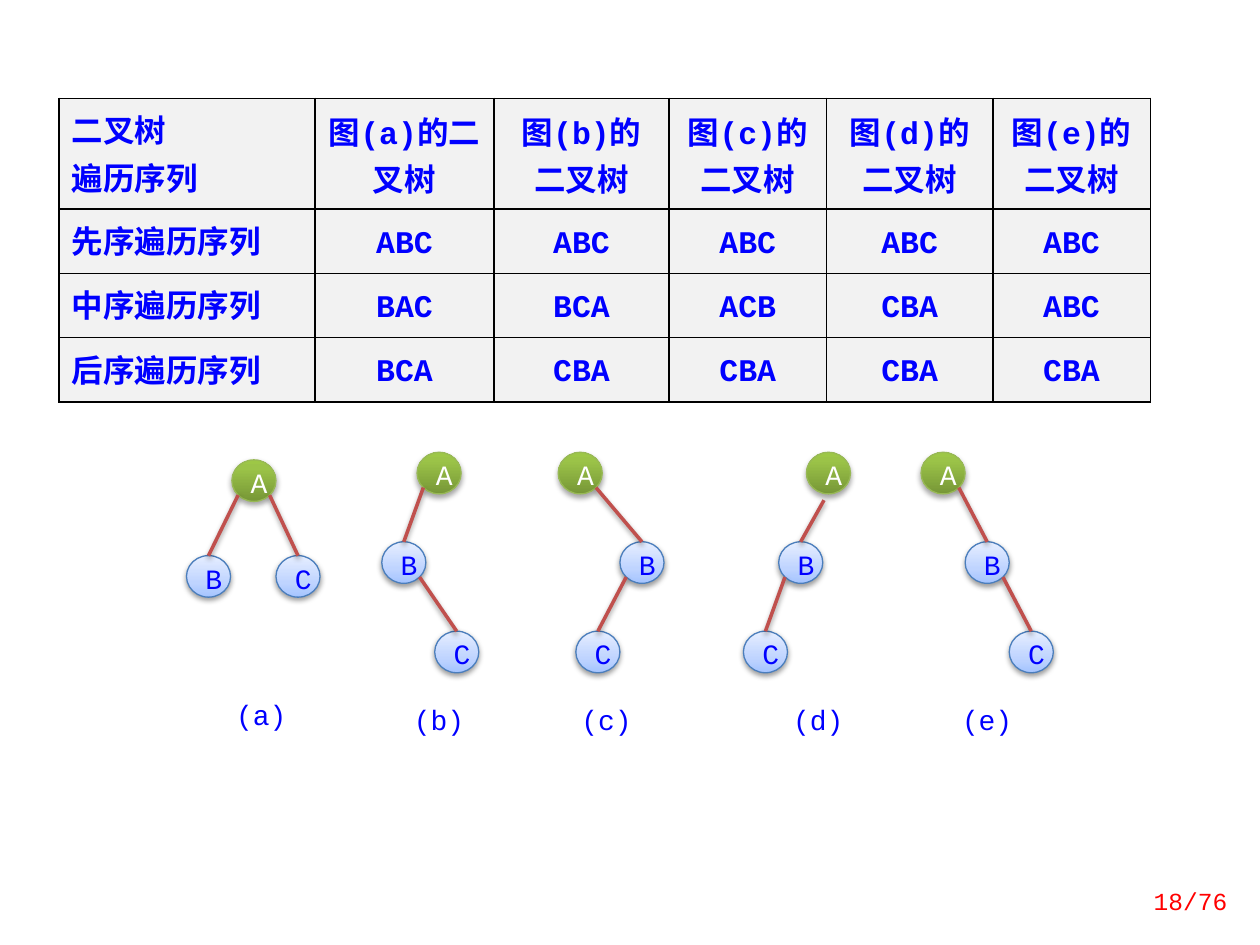
from dataclasses import dataclass
from typing import Optional

from lxml.etree import SubElement
from pptx import Presentation
from pptx.dml.color import RGBColor
from pptx.enum.shapes import MSO_CONNECTOR, MSO_SHAPE
from pptx.enum.text import MSO_ANCHOR, PP_ALIGN
from pptx.oxml.ns import qn
from pptx.util import Inches, Pt

BLUE = "0000FF"
WIDE, HIGH = 0.35, 0.33


@dataclass
class Look:
    """Colours and shadow of a kind of node."""
    stops: list
    edge: str
    ink: str
    alpha: int
    drop: float


@dataclass
class Tree:
    """A three-node binary tree with its caption."""
    name: str
    left: list
    label: float
    tops: tuple = (3.59, 4.3, 5.01)
    links: tuple = ((0, 1), (1, 2))
    base: float = 5.5
    start: Optional[tuple] = None


ROOT = Look([(0, "779737"), (80, "9BC348"), (100, "9DC746")], "98B955", "FFFFFF", 35, 1.8)
CHILD = Look([(0, "A4C4FF"), (35, "BFD4FF"), (100, "E6EEFF")], "4B7EBC", BLUE, 38, 1.6)
TREES = [
    Tree("a", [1.84, 1.48, 2.19], 1.76, (3.65, 4.41, 4.41), ((0, 1), (0, 2)), 5.46),
    Tree("b", [3.31, 3.03, 3.45], 3.17),
    Tree("c", [4.43, 4.92, 4.57], 4.5),
    Tree("d", [6.4, 6.18, 5.9], 6.18, start=(6.54, 3.97)),
    Tree("e", [7.31, 7.66, 8.01], 7.52),
]
COLS = [2.03, 1.42, 1.39, 1.25, 1.32, 1.25]
ROWS = [0.88, 0.51, 0.51, 0.51]
CELLS = [
    ["二叉树\n遍历序列"] + [f"图({tree.name})的二叉树" for tree in TREES],
    ["先序遍历序列", "ABC", "ABC", "ABC", "ABC", "ABC"],
    ["中序遍历序列", "BAC", "BCA", "ACB", "CBA", "ABC"],
    ["后序遍历序列", "BCA", "CBA", "CBA", "CBA", "CBA"],
]


def color(code: str) -> RGBColor:
    """Turn a hex string into a colour."""
    return RGBColor.from_string(code)


def write(frame, text: str, size: float, ink: str, align, space=None, bold=False) -> None:
    """Fill a text frame and format its runs."""
    frame.text = text
    for para in frame.paragraphs:
        para.alignment = align
        if space:
            para.line_spacing = Pt(space)
        for run in para.runs:
            font = run.font
            font.name, font.size, font.bold = "Courier New", Pt(size), bold
            font.color.rgb = color(ink)


def add_color(parent, code: str):
    """Append an RGB colour element."""
    return SubElement(parent, qn("a:srgbClr"), val=code)


def add_shadow(props, alpha: int, drop: float) -> None:
    """Give shape properties a soft shadow straight below."""
    effects = SubElement(props, qn("a:effectLst"))
    outer = SubElement(effects, qn("a:outerShdw"), blurRad=str(Pt(3.1)),
                       dist=str(Pt(drop)), dir="5400000", rotWithShape="0")
    tint = add_color(outer, "000000")
    SubElement(tint, qn("a:alpha"), val=str(alpha * 1000))


def add_node(slide, text: str, left: float, top: float, look: Look):
    """Draw one lettered tree node."""
    node = slide.shapes.add_shape(MSO_SHAPE.OVAL, Inches(left), Inches(top),
                                  Inches(WIDE), Inches(HIGH))
    node.fill.gradient()
    node.fill.gradient_angle = 90
    props = node.element.spPr
    stops = props.find(qn("a:gradFill")).find(qn("a:gsLst"))
    stops.clear()
    for pos, code in look.stops:
        add_color(SubElement(stops, qn("a:gs"), pos=str(pos * 1000)), code)
    node.line.color.rgb = color(look.edge)
    node.line.width = Pt(0.75)
    add_shadow(props, look.alpha, look.drop)
    write(node.text_frame, text, 16, look.ink, PP_ALIGN.CENTER, 21)
    return node


def add_link(slide, start: tuple, child) -> None:
    """Draw a branch from a point to the top of a child node."""
    x, y = map(Inches, start)
    link = slide.shapes.add_connector(MSO_CONNECTOR.STRAIGHT, x, y, x, y)
    link.end_connect(child, 0)
    link.line.color.rgb = color("C0504D")
    link.line.width = Pt(2)
    add_shadow(link._element.spPr, 38, 1.6)


def add_label(slide, text: str, box: tuple, size: float, ink: str, align, space=None):
    """Add a wrapped text box."""
    label = slide.shapes.add_textbox(*map(Inches, box))
    label.text_frame.word_wrap = True
    write(label.text_frame, text, size, ink, align, space)
    return label


def add_tree(slide, tree: Tree) -> None:
    """Draw a tree with its branches and caption."""
    spots = list(zip(tree.left, tree.tops))
    nodes = [add_node(slide, text, *spot, look)
             for text, spot, look in zip("ABC", spots, (ROOT, CHILD, CHILD))]
    for up, down in tree.links:
        left, top = spots[up]
        side = 0.3 if spots[down][0] > left else 0.05
        start = (left + side, top + 0.28)
        if up == 0 and tree.start:
            start = tree.start
        add_link(slide, start, nodes[down])
    add_label(slide, f"({tree.name})", (tree.label, tree.base, 0.63, 0.4),
              16, BLUE, PP_ALIGN.CENTER, 21)


def add_border(cell) -> None:
    """Outline a cell in black."""
    props = cell._tc.get_or_add_tcPr()
    for spot, side in enumerate(("lnL", "lnR", "lnT", "lnB")):
        line = SubElement(props, qn(f"a:{side}"), w=str(Pt(1)))
        add_color(SubElement(line, qn("a:solidFill")), "000000")
        props.insert(spot, line)


def add_grid(slide) -> None:
    """Draw the table of traversal orders."""
    table = slide.shapes.add_table(len(ROWS), len(COLS), Inches(0.47), Inches(0.78),
                                   Inches(sum(COLS)), Inches(sum(ROWS))).table
    for col, width in zip(table.columns, COLS):
        col.width = Inches(width)
    for row, height in zip(table.rows, ROWS):
        row.height = Inches(height)
    for i, texts in enumerate(CELLS):
        for j, text in enumerate(texts):
            cell = table.cell(i, j)
            cell.fill.solid()
            cell.fill.fore_color.rgb = color("F2F2F2")
            add_border(cell)
            if i == 0 and j > 0:
                cell.vertical_anchor = MSO_ANCHOR.MIDDLE
            align = PP_ALIGN.CENTER if j else PP_ALIGN.LEFT
            write(cell.text_frame, text, 18, BLUE, align, 27, True)


def main() -> None:
    """Build and save the slide."""
    deck = Presentation()
    deck.slide_width, deck.slide_height = Inches(10), Inches(7.5)
    slide = deck.slides.add_slide(deck.slide_layouts[6])
    for tree in TREES:
        add_tree(slide, tree)
    add_grid(slide)
    page = add_label(slide, "18/76", (8.78, 6.95, 1.06, 0.4), 14, "FF0000", PP_ALIGN.RIGHT)
    page.text_frame.vertical_anchor = MSO_ANCHOR.MIDDLE
    deck.save("out.pptx")


if __name__ == "__main__":
    main()
